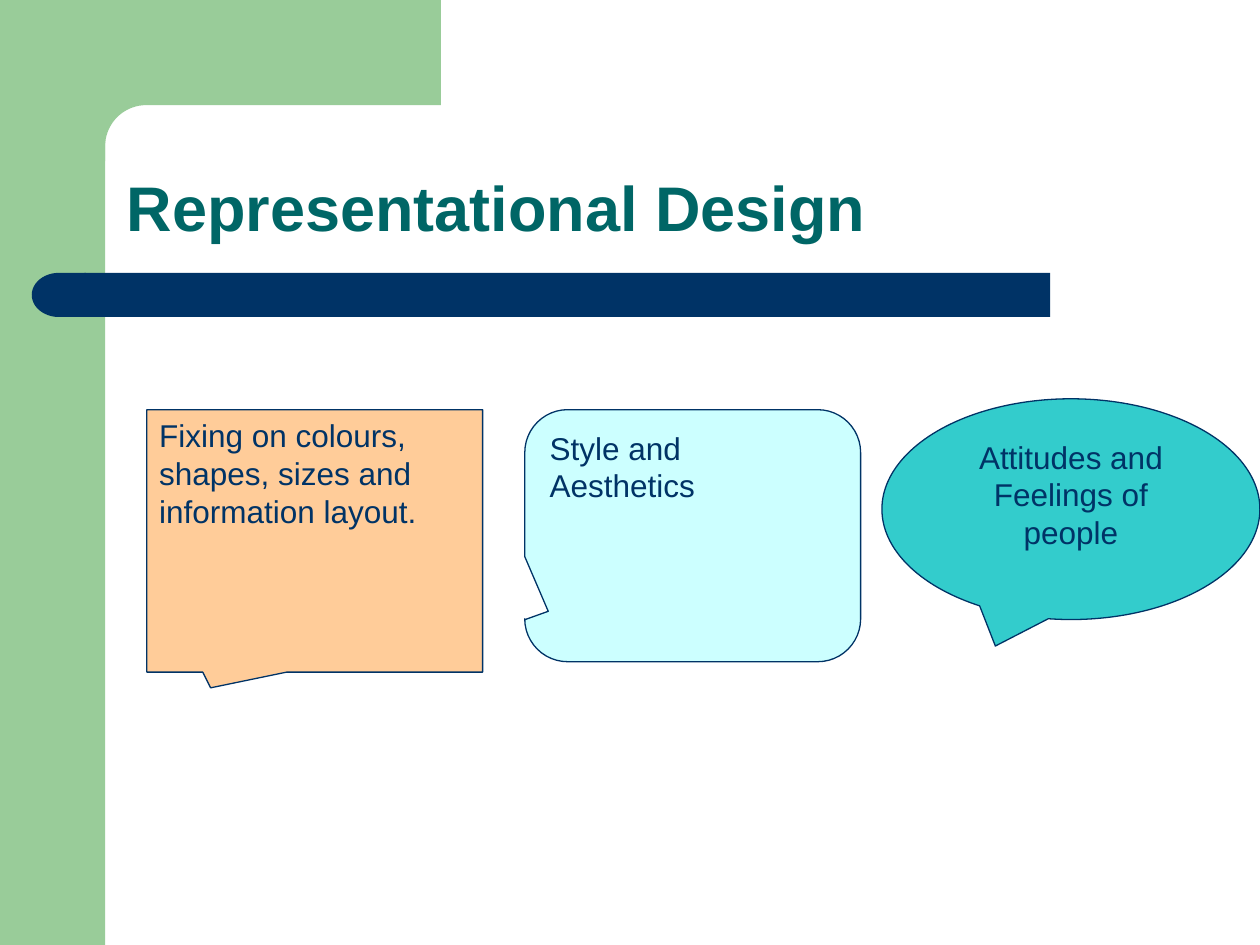
import math

import pptx
import pptx.dml.color
import pptx.enum.shapes
import pptx.enum.text
import pptx.util

Cm = pptx.util.Cm
Pt = pptx.util.Pt
Shapes = pptx.enum.shapes.MSO_SHAPE
Align = pptx.enum.text.PP_ALIGN
Anchor = pptx.enum.text.MSO_ANCHOR

COLOURS = {
    "green": "99CC99",
    "navy": "003366",
    "teal": "006666",
    "peach": "FFCC99",
    "ice": "CCFFFF",
    "turquoise": "33CCCC",
}


def paint(shape, fill, line=None):
    shape.shadow.inherit = False
    shape.fill.solid()
    shape.fill.fore_color.rgb = pptx.dml.color.RGBColor.from_string(COLOURS[fill])
    if line:
        shape.line.color.rgb = pptx.dml.color.RGBColor.from_string(COLOURS[line])
        shape.line.width = Pt(0.75)
    else:
        shape.line.fill.background()


def write(shape, lines, frame_format, alignment, font_format, colour):
    frame = shape.text_frame
    frame.text = "\n".join(lines)
    for name, value in frame_format.items():
        setattr(frame, name, value)
    for paragraph in frame.paragraphs:
        paragraph.alignment = alignment
        font = paragraph.runs[0].font
        for name, value in font_format.items():
            setattr(font, name, value)
        font.color.rgb = pptx.dml.color.RGBColor.from_string(COLOURS[colour])


presentation = pptx.Presentation()
presentation.slide_width = Cm(25.4)
presentation.slide_height = Cm(19.05)
slide = presentation.slides.add_slide(presentation.slide_layouts[5])

side_band = slide.shapes.add_shape(Shapes.RECTANGLE, 0, 0, Cm(2.12), Cm(19.05))
paint(side_band, "green")

corner_radius = 0.83
corner_x, corner_y = 2.12 + corner_radius, 2.12 + corner_radius
corner_points = [(8.89, 0), (8.89, 2.12)]
for degrees in range(90, 181, 5):
    angle = math.radians(degrees)
    corner_points.append((corner_x + corner_radius * math.cos(angle),
                          corner_y - corner_radius * math.sin(angle)))
corner_points += [(2.12, 3.25), (1.27, 3.25)]
builder = slide.shapes.build_freeform(Cm(1.27), 0)
builder.add_line_segments([(Cm(x), Cm(y)) for x, y in corner_points], close=True)
paint(builder.convert_to_shape(), "green")

title_bar = slide.shapes.add_shape(Shapes.ROUNDED_RECTANGLE, Cm(1.7), Cm(5.5), Cm(19.47), Cm(0.89))
title_bar.adjustments[0] = 0
paint(title_bar, "navy")

bar_cap = slide.shapes.add_shape(Shapes.FLOWCHART_DELAY, Cm(0.64), Cm(5.5), Cm(1.09), Cm(0.89))
bar_cap.rotation = 180
paint(bar_cap, "navy")

margins = {
    "margin_left": Cm(0.25),
    "margin_right": Cm(0.25),
    "margin_top": Cm(0.13),
    "margin_bottom": Cm(0.13),
    "word_wrap": True,
    "auto_size": pptx.enum.text.MSO_AUTO_SIZE.NONE,
}

title = slide.shapes.title
title_box = {"left": Cm(2.31), "top": Cm(2.31), "width": Cm(21.62), "height": Cm(2.77)}
for name, value in title_box.items():
    setattr(title, name, value)
write(title, ["Representational Design"], {**margins, "vertical_anchor": Anchor.BOTTOM},
      Align.LEFT, {"name": "Arial", "size": Pt(36), "bold": True}, "teal")
title.text_frame.paragraphs[0].line_spacing = 0.9

callouts = [
    (Shapes.RECTANGULAR_CALLOUT, (2.96, 8.26, 6.77, 5.29), (-0.31, 0.56), "peach", Align.LEFT,
     ["Fixing on colours, shapes, sizes and information layout."]),
    (Shapes.ROUNDED_RECTANGULAR_CALLOUT, (10.58, 8.26, 6.77, 5.08), (-0.43, 0.3, 0.17), "ice",
     Align.LEFT, ["Style and", "Aesthetics"]),
    (Shapes.OVAL_CALLOUT, (17.78, 8.04, 7.62, 4.45), (-0.2, 0.62), "turquoise", Align.CENTER,
     ["Attitudes and Feelings of people"]),
]
for kind, box, adjustments, fill, alignment, lines in callouts:
    callout = slide.shapes.add_shape(kind, *[Cm(length) for length in box])
    for index, adjustment in enumerate(adjustments):
        callout.adjustments[index] = adjustment
    paint(callout, fill, "navy")
    write(callout, lines, {**margins, "vertical_anchor": Anchor.TOP},
          alignment, {"name": "Arial", "size": Pt(18)}, "navy")

presentation.save("out.pptx")
